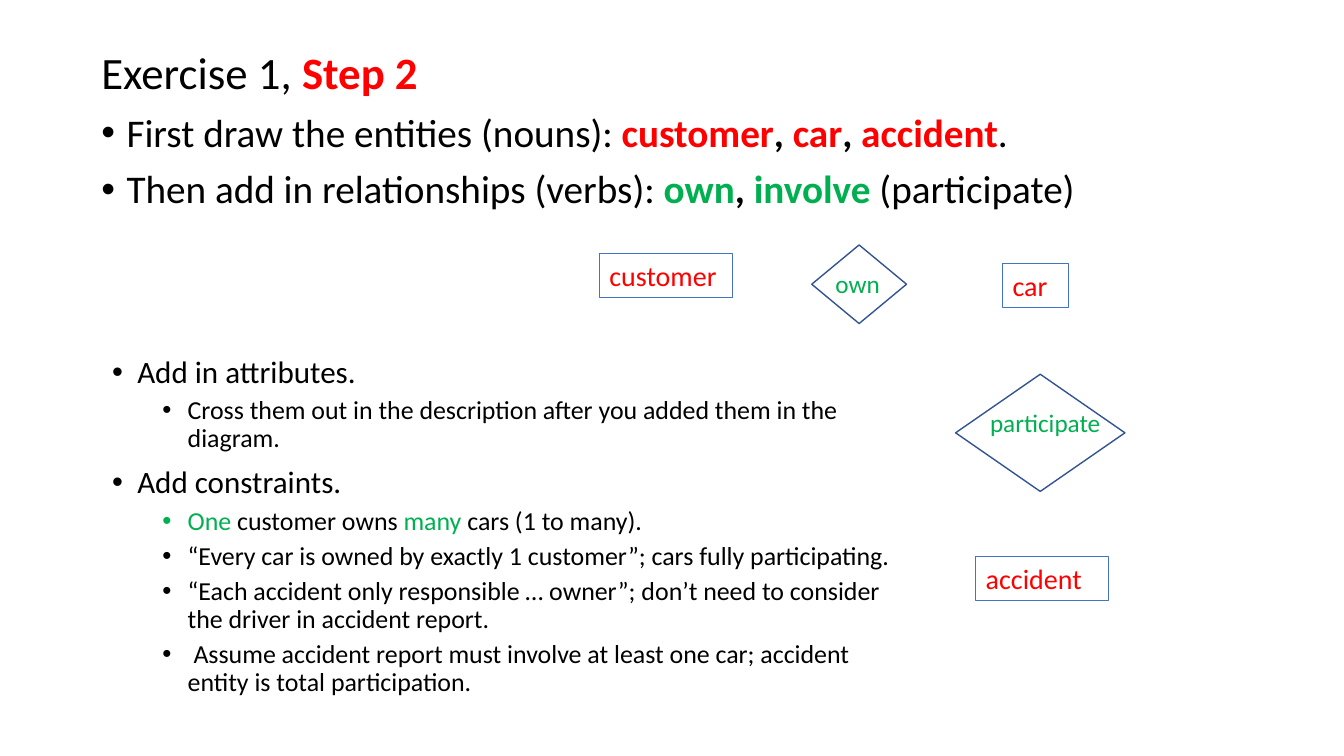
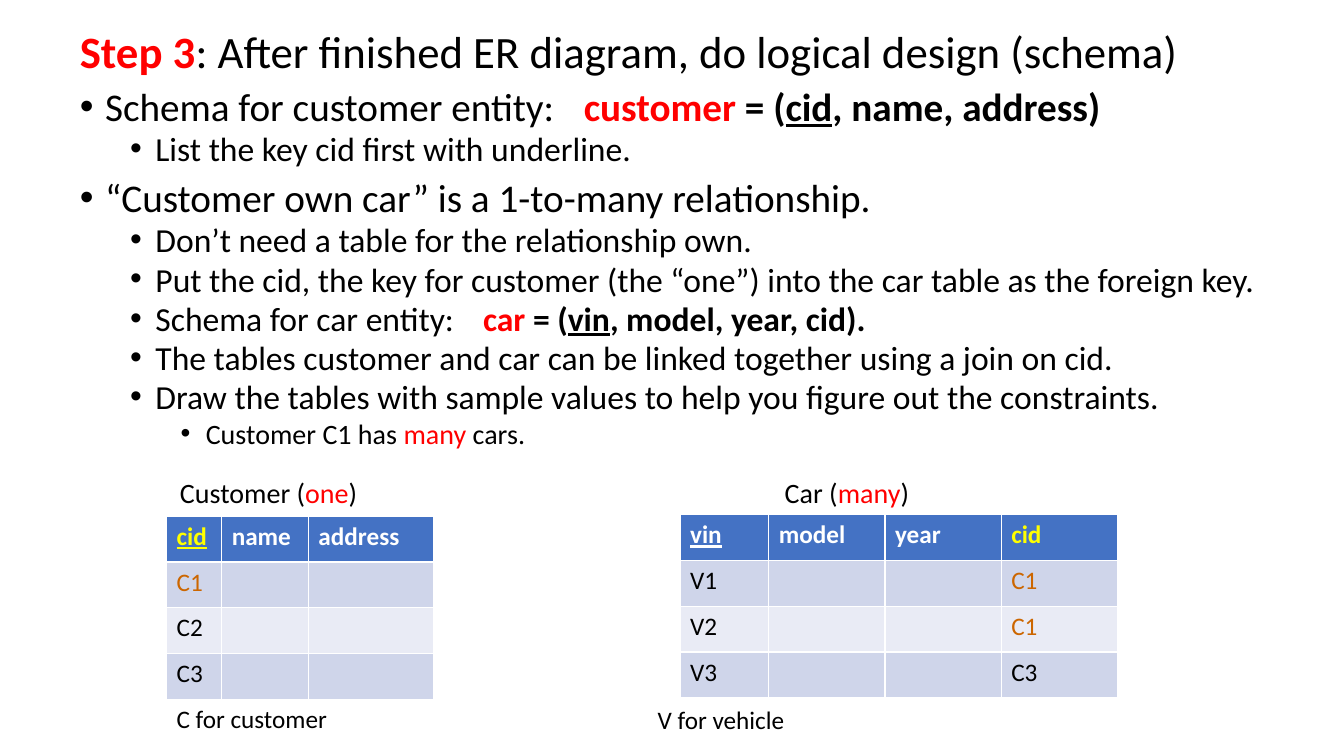
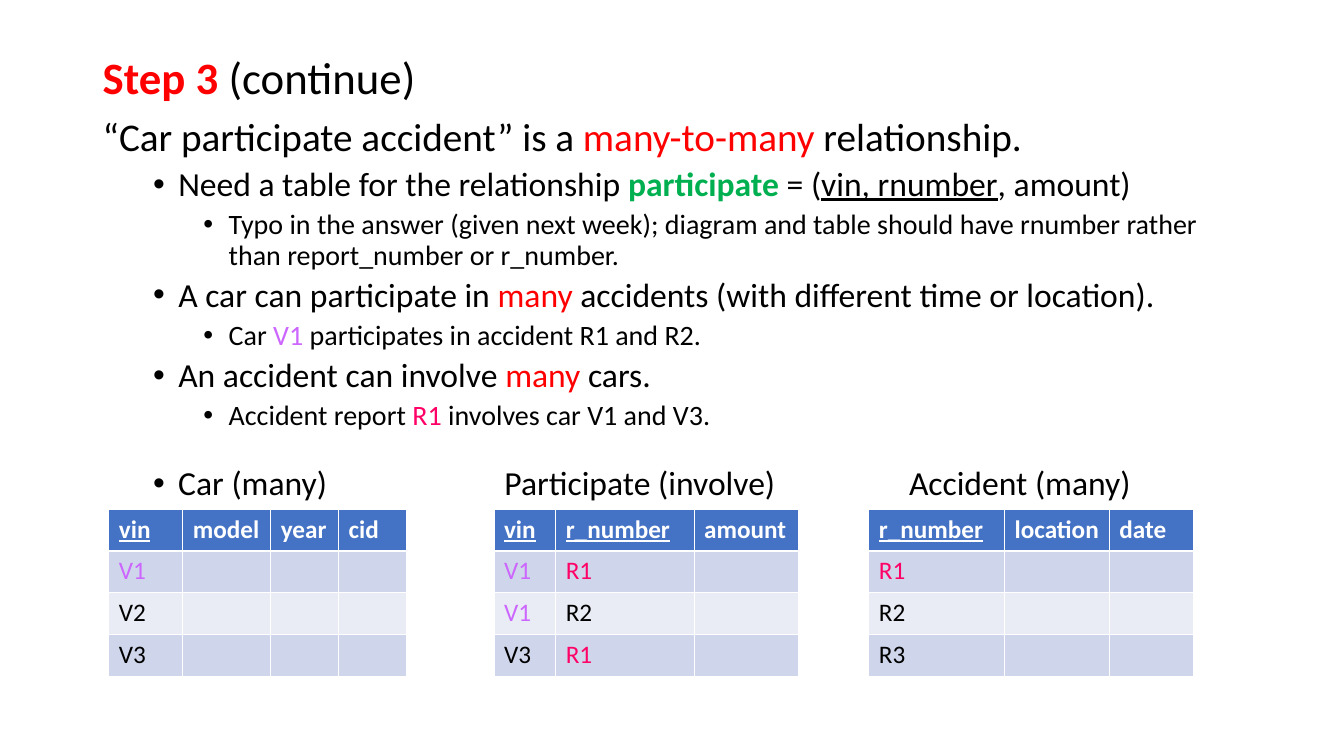
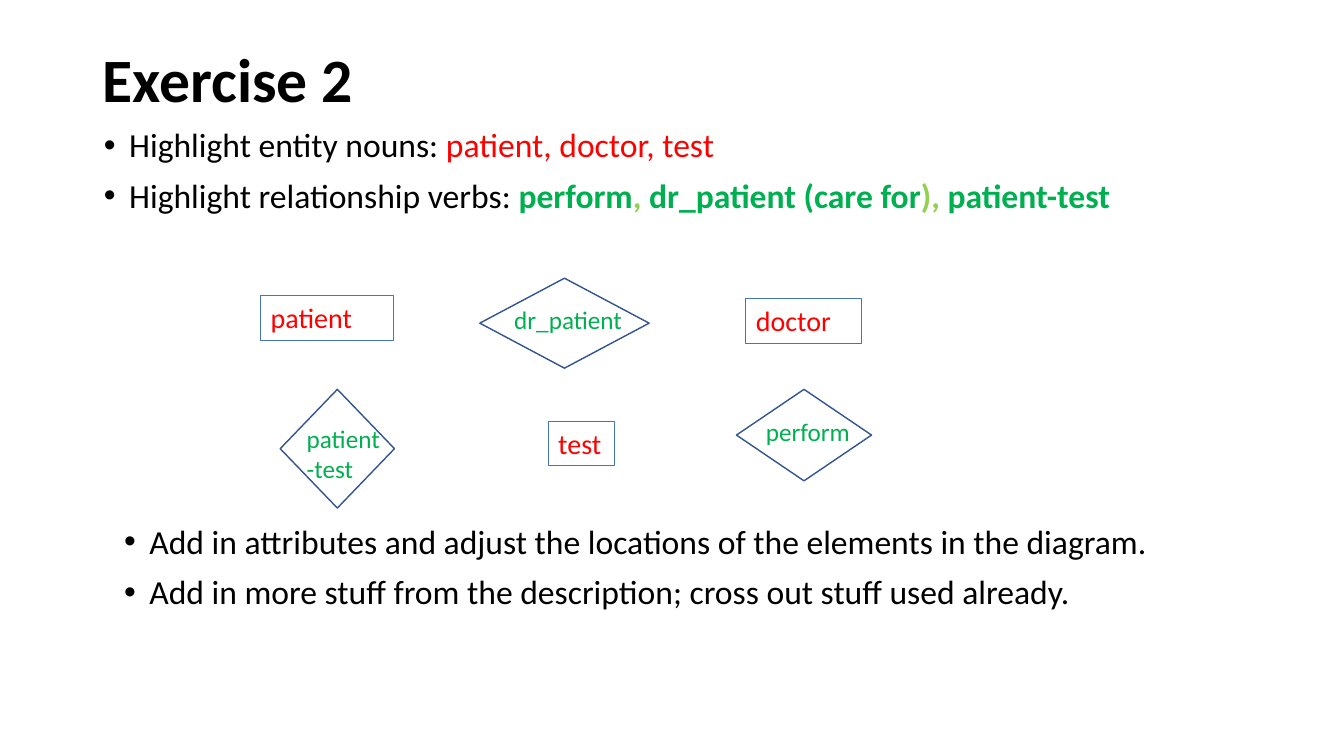
from lxml import etree
from pptx import Presentation
from pptx import util as u
from pptx.dml.color import RGBColor
from pptx.enum import shapes, text
from pptx.oxml.ns import qn

WIDTH, HEIGHT = 13.333, 7.5
FONT = "Calibri"
BLACK, WHITE, RED, GREEN, LIME = "000000", "FFFFFF", "FF0000", "00B050", "92D050"
YELLOW, ORANGE, VIOLET, PINK = "FFFF00", "CC6600", "CC66FF", "FF0066"
BOX_LINE, DIAMOND_LINE = "4472C4", "325491"
HEADER, BANDS = "4472C4", ("CFD5EA", "E9EBF5")
LINE_ROWS = 5.3


def rgb(value):
    """Turn a hex string into a colour."""
    return RGBColor.from_string(value)


def place(x, y, w, h):
    """Turn percentages of the slide into left, top, width and height."""
    return (u.Inches(x * WIDTH / 100), u.Inches(y * HEIGHT / 100),
            u.Inches(w * WIDTH / 100), u.Inches(h * HEIGHT / 100))


def run(words, colour=BLACK, bold=False, under=False):
    """Describe one run."""
    return words, colour, bold, under


def red(words, bold=False):
    """Describe a run that marks an entity or a key word."""
    return run(words, RED, bold)


def green(words, bold=False):
    """Describe a run that marks a relationship."""
    return run(words, GREEN, bold)


def add_runs(p, size, runs):
    """Add runs, given as plain strings or descriptions, to a paragraph."""
    for item in runs:
        words, colour, bold, under = run(item) if isinstance(item, str) else item
        r = p.add_run()
        r.text = words
        r.font.name, r.font.size = FONT, u.Pt(size)
        r.font.bold, r.font.underline = bold, under
        r.font.color.rgb = rgb(colour)


def add_bullet(p, level):
    """Give a paragraph a hanging bullet at a level."""
    p.level = level
    pPr = p._p.get_or_add_pPr()
    pPr.set("marL", str(u.Inches(0.25 + 0.5 * level)))
    pPr.set("indent", str(u.Inches(-0.25)))
    etree.SubElement(pPr, qn("a:buFont")).set("typeface", "Arial")
    etree.SubElement(pPr, qn("a:buChar")).set("char", "•")


def add_text(s, at, paragraphs, spacing=0.9):
    """Add a text box of (level, size, runs...) paragraphs; level None has no bullet."""
    sp = s.shapes.add_textbox(*place(*at))
    tf = sp.text_frame
    tf.word_wrap = True
    for i, (level, size, *runs) in enumerate(paragraphs):
        p = tf.paragraphs[0] if i == 0 else tf.add_paragraph()
        p.line_spacing = spacing
        p.space_before = u.Pt(5 if level else 10)
        if level is not None:
            add_bullet(p, level)
        add_runs(p, size, runs)
    return sp


def add_label(parent, at, size, *runs):
    """Add a short single-spaced text."""
    tf = parent.shapes.add_textbox(*place(*at)).text_frame
    tf.word_wrap = True
    add_runs(tf.paragraphs[0], size, runs)
    return tf.paragraphs[0]


def add_outline(parent, kind, at, colour, weight):
    """Add an unfilled preset shape."""
    sp = parent.shapes.add_shape(kind, *place(*at))
    sp.shadow.inherit = False
    sp.fill.background()
    sp.line.color.rgb = rgb(colour)
    sp.line.width = u.Pt(weight)
    return sp


def add_entity(s, x, y, w, name):
    """Add an entity rectangle with its name."""
    sp = add_outline(s, shapes.MSO_SHAPE.RECTANGLE, (x, y, w, 5.9), BOX_LINE, 0.75)
    tf = sp.text_frame
    tf.word_wrap = True
    tf.vertical_anchor = text.MSO_ANCHOR.TOP
    p = tf.paragraphs[0]
    p.alignment = text.PP_ALIGN.LEFT
    add_runs(p, 20, [red(name)])


def add_relationship(s, x, y, w, h, name, lines=1):
    """Add a relationship diamond grouped with its name."""
    group = s.shapes.add_group_shape()
    add_outline(group, shapes.MSO_SHAPE.DIAMOND, (x, y, w, h), DIAMOND_LINE, 1)
    inset = 0.145 * w
    label_at = (x + inset, y + 0.24 * h, w - inset, 1.2 + 4.1 * lines)
    add_label(group, label_at, 18, green(name))


def add_grid(s, x, y, widths, row_height, header, rows):
    """Add a banded table; short rows leave their last cells empty."""
    at = place(x, y, sum(widths), row_height * (len(rows) + 1))
    table = s.shapes.add_table(len(rows) + 1, len(widths), *at).table
    for column, w in zip(table.columns, widths):
        column.width = place(0, 0, w, 0)[2]
    for i, cells in enumerate([header, *rows]):
        table.rows[i].height = place(0, 0, 0, row_height)[3]
        for j in range(len(widths)):
            cell = table.cell(i, j)
            cell.fill.solid()
            cell.fill.fore_color.rgb = rgb(BANDS[(i - 1) % 2] if i else HEADER)
            if j < len(cells):
                add_runs(cell.text_frame.paragraphs[0], 18, [cells[j]])


def head(name, colour=WHITE, key=False):
    """Describe a header cell, underlined when it is a key."""
    return run(name, colour, True, key)


def draw_entities(s):
    """Exercise 1, step 2."""
    add_entity(s, 44.6, 33.5, 9.9, "customer")
    comma = run(", ", bold=True)
    add_text(s, (6.8, 6.1, 78.5, 25.9), [
        (None, 32, "Exercise 1, ", red("Step 2", True)),
        (0, 28, "First draw the entities (nouns): ", red("customer", True), comma,
         red("car", True), comma, red("accident", True), "."),
        (0, 28, "Then add in relationships (verbs): ", green("own", True), comma,
         green("involve ", True), "(participate)"),
    ])
    add_entity(s, 74.6, 34.8, 4.9, "car")
    add_entity(s, 72.6, 73.6, 9.9, "accident")
    add_relationship(s, 60.4, 32.4, 7.05, 10.4, "own")
    add_relationship(s, 71.1, 49.5, 12.6, 15.5, "participate")
    add_text(s, (7.6, 46.5, 61.05, 47.1), [
        (0, 22.2, "Add in attributes."),
        (1, 18.5, "Cross them out in the description after you added them in the diagram."),
        (0, 22.2, "Add constraints."),
        (1, 18.5, green("One"), " customer owns ", green("many"), " cars (1 to many)."),
        (1, 18.5, "“Every car is owned by exactly 1 customer”; cars fully participating."),
        (1, 18.5, "“Each accident only responsible … owner”; don’t need to consider "
                  "the driver in accident report."),
        (1, 18.5, " Assume accident report must involve at least one car; accident "
                  "entity is total participation."),
    ])


def draw_schema(s):
    """Step 3, one-to-many."""
    add_text(s, (5.2, 3.9, 90.5, 56), [
        (None, 32, red("Step 3", True),
         ": After finished ER diagram, do logical design (schema)"),
        (0, 28, "Schema for customer entity:\t", red("customer", True),
         run(" = (", bold=True), run("cid", BLACK, True, True),
         run(", name, address)", bold=True)),
        (1, 24, "List the key cid first with underline."),
        (0, 28, "“Customer own car” is a 1-to-many relationship."),
        (1, 24, "Don’t need a table for the relationship own."),
        (1, 24, "Put the cid, the key for customer (the “one”) into the car table "
                "as the foreign key."),
        (1, 24, "Schema for car entity:\t", red("car ", True), run("= (", bold=True),
         run("vin", BLACK, True, True), run(", model, year, cid).", bold=True)),
        (1, 24, "The tables customer and car can be linked together using a join on cid."),
        (1, 24, "Draw the tables with sample values to help you figure out the constraints."),
        (2, 20, "Customer C1 has ", red("many"), " cars."),
    ], 0.8)
    for x, name, count in ((12.65, "Customer", "one"), (57.65, "Car", "many")):
        add_label(s, (x, 62.3, 18.8, LINE_ROWS), 20, name + " (", red(count), ")")
    c1 = run("C1", ORANGE)
    add_grid(s, 12.4, 68.3, (4.1, 6.45, 9.3), 6.05,
             [head("cid", YELLOW, True), head("name"), head("address")],
             [[c1], ["C2"], ["C3"]])
    add_grid(s, 50.6, 68.1, (6.6, 8.65, 8.65, 8.65), 6.05,
             [head("vin", key=True), head("model"), head("year"), head("cid", YELLOW)],
             [["V1", "", "", c1], ["V2", "", "", c1], ["V3", "", "", "C3"]])
    add_label(s, (12.4, 92.4, 13.3, LINE_ROWS), 18, "C for customer")
    add_label(s, (48.2, 92.5, 11.3, LINE_ROWS), 18, "V for vehicle")


def draw_participation(s):
    """Step 3, many-to-many."""
    v1, r1 = run("V1", VIOLET), run("R1", PINK)
    add_text(s, (6.9, 6.7, 86.25, 53.3), [
        (None, 32, red("Step 3", True), " (continue)"),
        (None, 28, "“Car participate accident” is a ", red("many-to-many"), " relationship."),
        (1, 24, "Need a table for the relationship ", green("participate", True), " = (",
         run("vin, rnumber", under=True), ", amount)"),
        (2, 20, "Typo in the answer (given next week); diagram and table should have "
                "rnumber rather than report_number or r_number."),
        (1, 24, "A car can participate in ", red("many"),
         " accidents (with different time or location)."),
        (2, 20, "Car ", v1, " participates in accident R1 and R2."),
        (1, 24, "An accident can involve ", red("many"), " cars."),
        (2, 20, "Accident report ", r1, " involves car V1 and V3."),
    ])
    captions = ((10.65, "Car (many)"), (36.8, "Participate (involve)"),
                (66.9, "Accident (many)"))
    first, *_ = [add_label(s, (x, 60.5, 24, 6.2), 24, name) for x, name in captions]
    add_bullet(first, 0)
    vin, r_number = head("vin", key=True), head("r_number", key=True)
    grids = (
        (8.1, (5.5, 6.55, 5.05, 5.05), [vin, head("model"), head("year"), head("cid")],
         [[v1], ["V2"], ["V3"]]),
        (64.65, (10.1, 7.8, 6.3), [r_number, head("location"), head("date")],
         [[r1], ["R2"], ["R3"]]),
        (36.75, (4.6, 10.3, 7.8), [vin, r_number, head("amount")],
         [[v1, r1], [v1, "R2"], ["V3", r1]]),
    )
    for x, widths, header, rows in grids:
        add_grid(s, x, 67.35, widths, 5.53, header, rows)


def draw_exercise_2(s):
    """Exercise 2."""
    title = add_text(s, (6.9, 5.3, 86.25, 11.1), [(None, 44, run("Exercise 2", bold=True))])
    title.text_frame.vertical_anchor = text.MSO_ANCHOR.MIDDLE
    add_text(s, (7, 16.4, 86.2, 16), [
        (0, 24, "Highlight entity nouns: ", red("patient, doctor, test")),
        (0, 24, "Highlight relationship verbs: ", green("perform", True),
         run(", ", LIME, True), green("dr_patient (care for", True),
         run("), ", LIME, True), green("patient-test", True)),
    ])
    add_entity(s, 19.4, 39.1, 9.9, "patient")
    add_entity(s, 55.5, 39.5, 8.6, "doctor")
    add_entity(s, 40.8, 55.7, 4.95, "test")
    add_relationship(s, 35.7, 36.8, 12.6, 11.9, "dr_patient")
    add_relationship(s, 54.8, 51.5, 10.05, 12.1, "perform")
    add_relationship(s, 20.85, 51.5, 8.5, 15.7, "patient-test", 2)
    add_text(s, (8.5, 68.8, 79.7, 17.6), [
        (0, 24, "Add in attributes and adjust the locations of the elements in the diagram."),
        (0, 24, "Add in more stuff from the description; cross out stuff used already."),
    ])


def main():
    """Build and save the slides."""
    prs = Presentation()
    prs.slide_width, prs.slide_height = u.Inches(WIDTH), u.Inches(HEIGHT)
    for draw in (draw_entities, draw_schema, draw_participation, draw_exercise_2):
        draw(prs.slides.add_slide(prs.slide_layouts[6]))
    prs.save("out.pptx")


if __name__ == "__main__":
    main()
